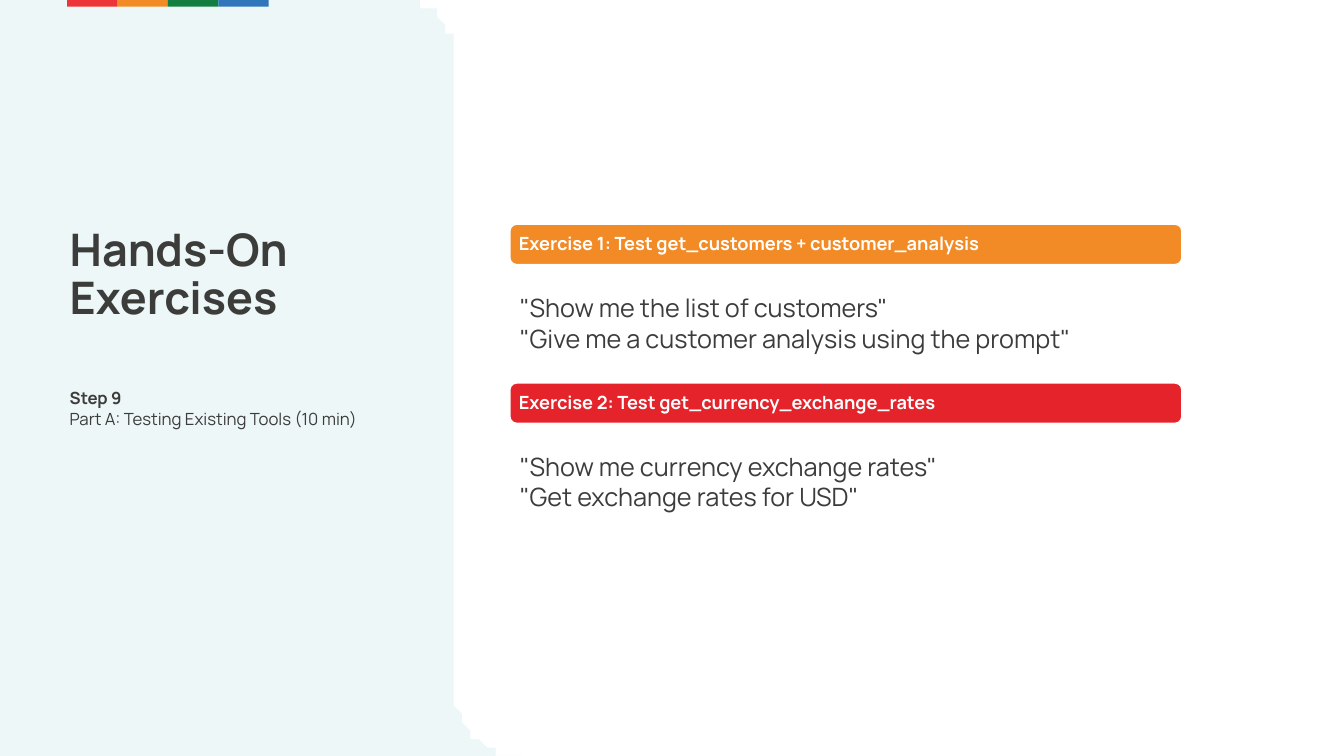
import math
from dataclasses import dataclass

import pptx
import pptx.dml.color
import pptx.enum.shapes
import pptx.enum.text
import pptx.util

ANCHOR = pptx.enum.text.MSO_ANCHOR
SHAPE = pptx.enum.shapes.MSO_SHAPE
COLUMNS, ROWS = 160, 90
CELL = pptx.util.Inches(7.5) / ROWS  # the grid cells are square


@dataclass(frozen=True)
class Theme:
    font: str = "Manrope"
    panel: str = "EDF7F7"
    ink: str = "3C3C3B"
    white: str = "FFFFFF"
    orange: str = "F28A25"
    red: str = "E5232A"
    stripes: tuple = ("ED3438", "F28A25", "127E3F", "3176BB")
    title_size: int = 32
    prompt_size: int = 18
    bar_size: int = 13
    step_size: int = 12


@dataclass(frozen=True)
class Box:
    """An area in columns and rows of the slide grid."""
    left: float
    top: float
    width: float
    height: float

    def inside(self, left, top, width, height):
        return Box(self.left + left, self.top + top, width, height)

    def lengths(self):
        return [round(value * CELL) for value in (self.left, self.top, self.width, self.height)]


THEME = Theme()


def rgb(color):
    return pptx.dml.color.RGBColor.from_string(color)


def place(shape, box):
    shape.left, shape.top, shape.width, shape.height = box.lengths()


def paint(shape, fill, line=None):
    shape.shadow.inherit = False
    shape.fill.solid()
    shape.fill.fore_color.rgb = rgb(fill)
    if line:
        shape.line.color.rgb = rgb(line)
        shape.line.width = pptx.util.Pt(1)
    else:
        shape.line.fill.background()


def write(shape, lines, *, size, color=THEME.ink, bold=(), anchor=ANCHOR.TOP,
          margins=(0.1, 0.05, 0.1, 0.05), spacing=1.0):
    """Write one paragraph per line; bold holds the indexes of bold lines."""
    frame = shape.text_frame
    frame.word_wrap = True
    frame.auto_size = pptx.enum.text.MSO_AUTO_SIZE.NONE
    frame.vertical_anchor = anchor
    (frame.margin_left, frame.margin_top,
     frame.margin_right, frame.margin_bottom) = map(pptx.util.Inches, margins)
    for index, line in enumerate(lines):
        paragraph = frame.add_paragraph() if index else frame.paragraphs[0]
        paragraph.alignment = pptx.enum.text.PP_ALIGN.LEFT
        paragraph.line_spacing = spacing
        paragraph.space_before = pptx.util.Pt(0)
        run = paragraph.add_run()
        run.text = line
        run.font.name = THEME.font
        run.font.size = pptx.util.Pt(size)
        run.font.bold = index in bold
        run.font.color.rgb = rgb(color)


def remove_bullets(shape):
    for paragraph in shape.text_frame.paragraphs:
        properties = paragraph._p.get_or_add_pPr()
        properties.set("marL", "0")
        properties.set("indent", "0")
        bullet = pptx.oxml.parse_xml(
            '<a:buNone xmlns:a="http://schemas.openxmlformats.org/drawingml/2006/main"/>')
        properties.append(bullet)


def arc(center, radius, start, end, steps=32):
    """Points on a circle between two angles in degrees, y pointing down."""
    angles = [math.radians(start + (end - start) * step / steps) for step in range(steps + 1)]
    return [(center[0] + radius * math.cos(angle), center[1] + radius * math.sin(angle))
            for angle in angles]


def add_panel(slide, box):
    """Tinted side panel: a rounded top corner and a flared foot."""
    upper, foot = 6.4, 8.4
    right, bottom = box.left + box.width, box.top + box.height
    outline = (arc((right - upper, box.top + upper), upper, -90, 0)
               + arc((right + foot, bottom - foot), foot, 180, 90)
               + [(box.left, bottom)])
    builder = slide.shapes.build_freeform(box.left, box.top, scale=CELL)
    builder.add_line_segments(outline, close=True)
    paint(builder.convert_to_shape(), THEME.panel)


def add_stripes(slide, box):
    """Row of equal colour blocks at the top edge."""
    width = box.width / len(THEME.stripes)
    for index, color in enumerate(THEME.stripes):
        block = box.inside(index * width, 0, width, box.height)
        paint(slide.shapes.add_shape(SHAPE.RECTANGLE, *block.lengths()), color)


def add_heading(slide, box, title, step):
    """Title and step text in the slide's placeholders."""
    title_shape, body = slide.shapes.title, slide.placeholders[1]
    place(title_shape, box.inside(0, 0, box.width, 20))
    write(title_shape, [title], size=THEME.title_size, bold=(0,), anchor=ANCHOR.BOTTOM,
          margins=(0, 0.05, 0.1, 0.53), spacing=0.9)
    place(body, box.inside(0, 21.2, box.width, 30.4))
    write(body, step, size=THEME.step_size, bold=(0,), margins=(0, 0, 0, 0))
    remove_bullets(body)


def add_exercise(slide, box, heading, color, prompts):
    """Coloured heading bar with its prompts below."""
    bar = slide.shapes.add_shape(
        SHAPE.ROUNDED_RECTANGLE, *box.inside(0, 0, box.width, 4.8).lengths())
    paint(bar, color, THEME.white)
    write(bar, [heading], size=THEME.bar_size, color=THEME.white, bold=(0,),
          anchor=ANCHOR.MIDDLE, margins=(0.07, 0.05, 0.07, 0.05), spacing=0.9)
    text = slide.shapes.add_textbox(*box.inside(0, 7.55, box.width, 8.5).lengths())
    write(text, prompts, size=THEME.prompt_size)


def main():
    presentation = pptx.Presentation()
    presentation.slide_width = round(COLUMNS * CELL)
    presentation.slide_height = round(ROWS * CELL)
    slide = presentation.slides.add_slide(presentation.slide_layouts[1])

    add_panel(slide, Box(0, 0, 53.9, ROWS))
    add_stripes(slide, Box(8, 0, 24, 0.8))
    add_heading(slide, Box(8.3, 25, 40.6, 51.6), "Hands-On Exercises",
                ["Step 9", "Part A: Testing Existing Tools (10 min)"])

    # Exercises, stacked at an equal pitch
    exercises = [
        ("Exercise 1: Test get_customers + customer_analysis", THEME.orange,
         ['"Show me the list of customers"',
          '"Give me a customer analysis using the prompt"']),
        ("Exercise 2: Test get_currency_exchange_rates", THEME.red,
         ['"Show me currency exchange rates"', '"Get exchange rates for USD"']),
    ]
    for index, exercise in enumerate(exercises):
        add_exercise(slide, Box(60.7, 26.7 + 18.9 * index, 80, 16), *exercise)

    # Placeholders come first in the tree: bring them in front of the panel
    for shape in list(slide.placeholders):
        slide.shapes._spTree.append(shape._element)
    presentation.save("out.pptx")


if __name__ == "__main__":
    main()
